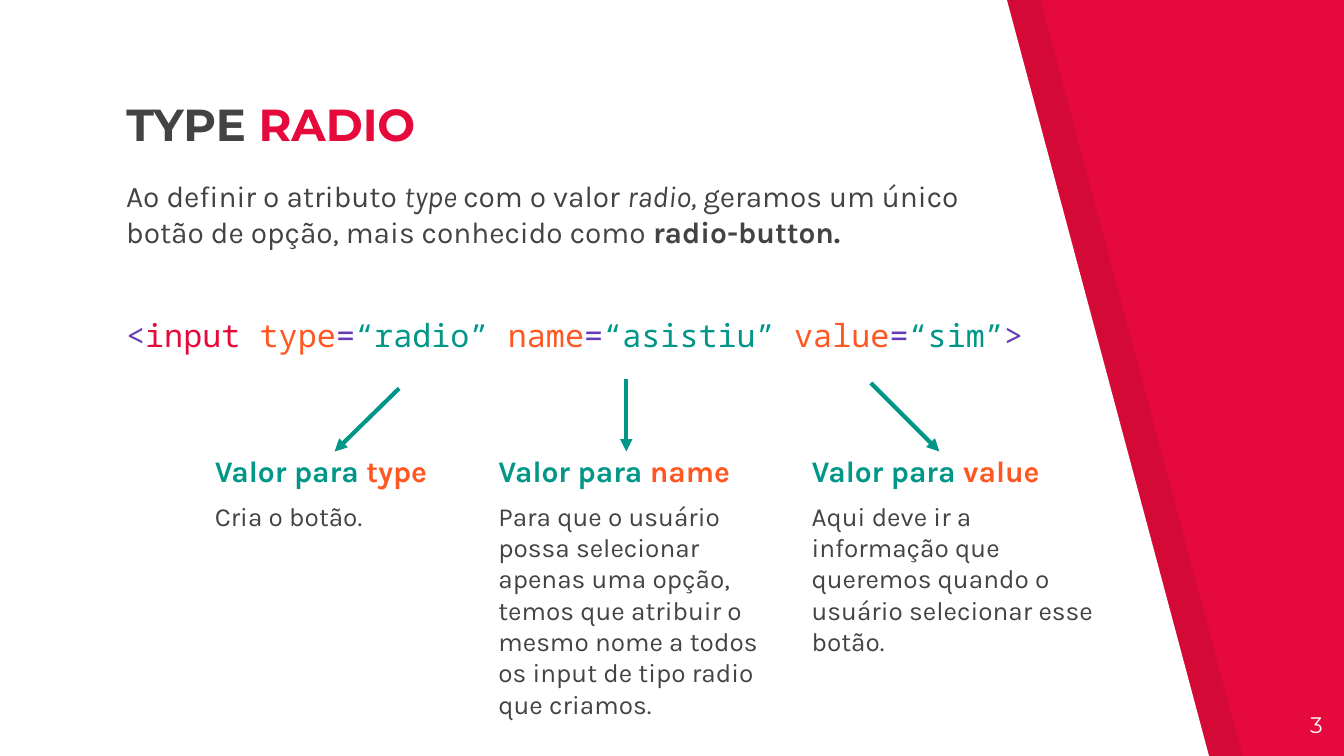
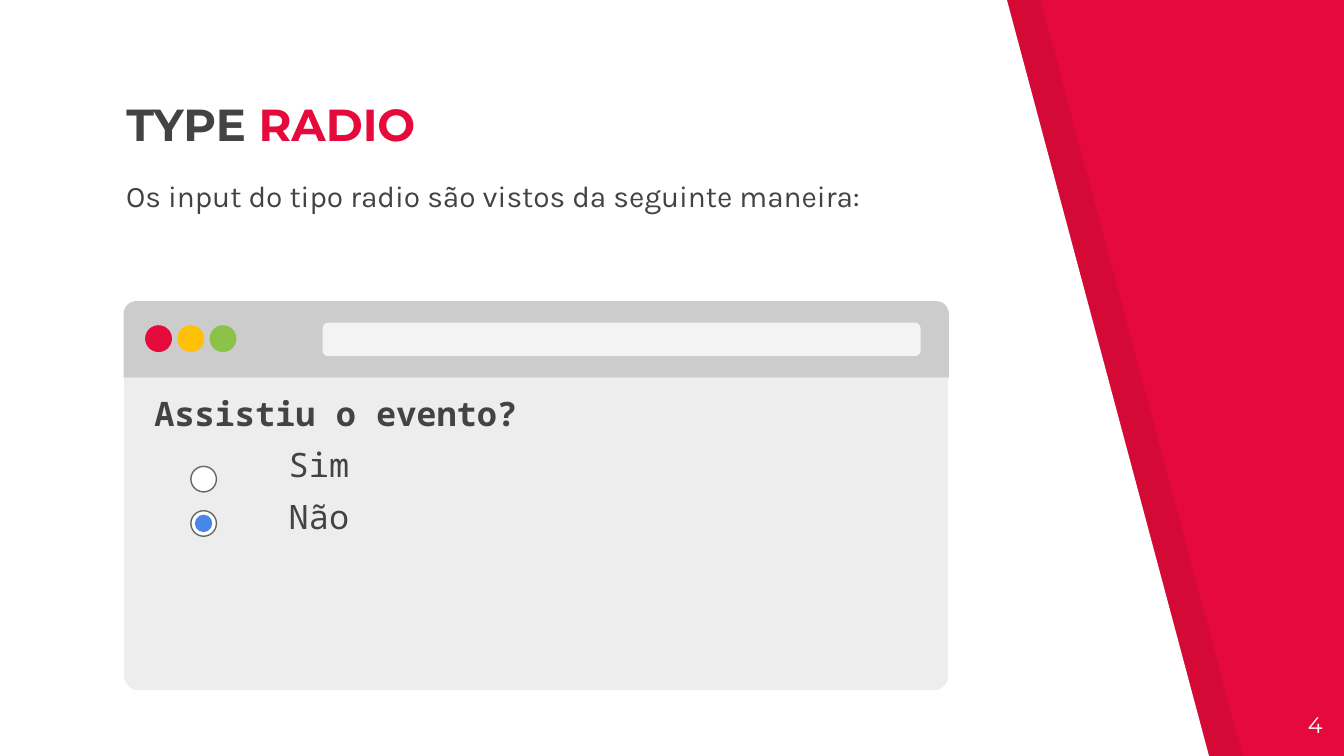
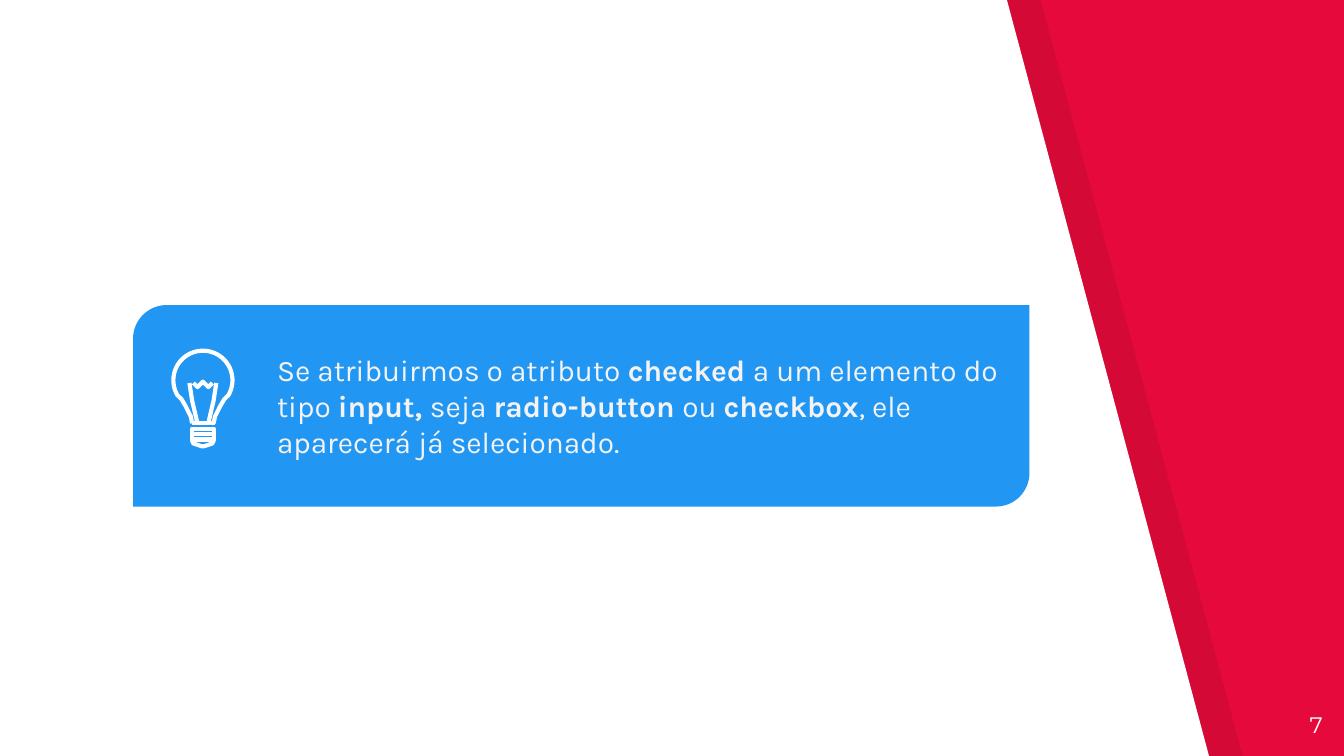
import math
from dataclasses import dataclass

import lxml.etree
import pptx
import pptx.dml.color
import pptx.enum.shapes
import pptx.enum.text
import pptx.oxml.ns
import pptx.util

Inches = pptx.util.Inches
Preset = pptx.enum.shapes.MSO_SHAPE
Anchor = pptx.enum.text.MSO_ANCHOR
Align = pptx.enum.text.PP_ALIGN
qn = pptx.oxml.ns.qn

COLORS = {
    "red": "E50A3B", "white": "FFFFFF", "black": "000000", "text": "434343",
    "teal": "009688", "orange": "FF5722", "purple": "673AB7", "blue": "2196F3",
    "yellow": "FFC107", "green": "8BC34A", "bar": "CCCCCC", "pale": "F3F3F3",
    "outline": "666666", "selected": "4A86E8",
}
BODY_FONT, TITLE_FONT, CODE_FONT = "Karla", "Montserrat", "Noto Sans Mono"
VEIL = 7  # opacity, in percent, of the dark overlays


@dataclass
class Box:
    left: float
    top: float
    width: float
    height: float

    def lengths(self) -> list:
        return [Inches(n) for n in (self.left, self.top, self.width, self.height)]


@dataclass
class Run:
    text: str
    color: str = ""
    bold: bool = False
    italic: bool = False


@dataclass
class Explanation:
    attribute: str
    text: str
    box: Box
    arrow_start: tuple
    arrow_end: tuple


# ---- Formatting helpers ----
def rgb(name: str):
    return pptx.dml.color.RGBColor.from_string(COLORS[name])


def write_paragraph(frame, text, *, first=True, size=16, font=BODY_FONT, color="text",
                    bold=False, before=0, indent=0.0, align=Align.LEFT) -> None:
    """Write a string or a list of runs as one paragraph."""
    paragraph = frame.paragraphs[0] if first else frame.add_paragraph()
    paragraph.alignment = align
    paragraph.space_before = pptx.util.Pt(before)
    if indent:
        properties = paragraph._p.get_or_add_pPr()
        properties.set("marL", str(Inches(indent)))
        properties.set("indent", "0")
    for part in [Run(text)] if isinstance(text, str) else text:
        run = paragraph.add_run()
        run.text = part.text
        run.font.name = font
        run.font.size = pptx.util.Pt(size)
        run.font.bold = bold or part.bold
        run.font.italic = part.italic
        run.font.color.rgb = rgb(part.color or color)


def prepare_frame(shape, anchor=Anchor.TOP):
    frame = shape.text_frame
    frame.word_wrap = True
    frame.auto_size = pptx.enum.text.MSO_AUTO_SIZE.NONE
    frame.vertical_anchor = anchor
    frame.margin_left = frame.margin_right = Inches(0.1)
    frame.margin_top = frame.margin_bottom = Inches(0.1)
    return frame


def add_text_box(shapes, box: Box):
    return prepare_frame(shapes.add_textbox(*box.lengths()))


def paint(shape, fill="", line="", width=0.75, opacity=100) -> None:
    shape.shadow.inherit = False
    if fill:
        shape.fill.solid()
        shape.fill.fore_color.rgb = rgb(fill)
    else:
        shape.fill.background()
    if line:
        shape.line.color.rgb = rgb(line)
        shape.line.width = pptx.util.Pt(width)
    else:
        shape.line.fill.background()
    if opacity < 100:
        color = next(shape.element.spPr.iter(qn("a:srgbClr")))
        lxml.etree.SubElement(color, qn("a:alpha")).set("val", str(opacity * 1000))


def add_preset(shapes, preset, box: Box, adjustments=(), **style):
    shape = shapes.add_shape(preset, *box.lengths())
    for index, value in enumerate(adjustments):
        shape.adjustments[index] = value
    paint(shape, **style)
    return shape


def add_outline(shapes, points: list, closed=False, **style):
    corners = [(Inches(x), Inches(y)) for x, y in points]
    builder = shapes.build_freeform(*corners[0], scale=1.0)
    builder.add_line_segments(corners[1:], close=closed)
    shape = builder.convert_to_shape()
    paint(shape, **style)
    return shape


def add_line(shapes, start: tuple, end: tuple, color: str, arrow=False) -> None:
    connector = shapes.add_connector(
        pptx.enum.shapes.MSO_CONNECTOR.STRAIGHT, *(Inches(n) for n in start + end))
    connector.line.color.rgb = rgb(color)
    connector.line.width = pptx.util.Pt(2.25)
    properties = connector.element.spPr
    if arrow:
        line = properties.find(qn("a:ln"))
        lxml.etree.SubElement(line, qn("a:tailEnd")).set("type", "triangle")
    lxml.etree.SubElement(properties, qn("a:effectLst"))


# ---- Shared parts ----
def add_master_bands(presentation, slide) -> None:
    """Draw the slanted bands once and keep them on the master."""
    master = presentation.slide_master
    master.background.fill.solid()
    master.background.fill.fore_color.rgb = rgb("red")
    for index, (offset, fill, opacity) in enumerate([(0.25, "black", VEIL), (0, "white", 100)]):
        points = [(offset, -0.01), (offset, 5.64), (offset + 9, 5.64), (offset + 7.49, -0.01)]
        band = add_outline(slide.shapes, points, closed=True, fill=fill, opacity=opacity)
        band.element.nvSpPr.cNvPr.id = 20 + index
        master.shapes.element.append(band.element)


def add_slide(presentation, number: int, title=None):
    slide = presentation.slides.add_slide(presentation.slide_layouts[5 if title else 6])
    if number == 3:
        add_master_bands(presentation, slide)
    frame = add_text_box(slide.shapes, Box(9.34, 5.19, 0.6, 0.43))
    write_paragraph(frame, str(number), size=12, font=TITLE_FONT, color="white",
                    align=Align.RIGHT)
    if title:
        shape = slide.shapes.title
        shape.left, shape.top, shape.width, shape.height = Box(0.84, 0.77, 5.25, 0.45).lengths()
        write_paragraph(prepare_frame(shape, Anchor.BOTTOM), title, size=24,
                        font=TITLE_FONT, bold=True)
    return slide


TITLE = [Run("TYPE "), Run("RADIO", "red")]


# ---- Slide: the attributes of a radio input ----
EXPLANATIONS = [
    Explanation("type", "Cria o botão.", Box(1.5, 3.27, 1.96, 1.08), (2.97, 2.89), (2.49, 3.36)),
    Explanation("name", "Para que o usuário possa selecionar apenas uma opção, temos que "
                "atribuir o mesmo nome a todos os input de tipo radio que criamos.",
                Box(3.61, 3.27, 2.31, 1.08), (4.66, 2.82), (4.66, 3.36)),
    Explanation("value", "Aqui deve ir a informação que queremos quando o usuário "
                "selecionar esse botão.",
                Box(5.94, 3.27, 2.31, 1.08), (6.48, 2.85), (6.99, 3.36)),
]


def build_attributes(presentation) -> None:
    shapes = add_slide(presentation, 3, TITLE).shapes
    write_paragraph(add_text_box(shapes, Box(0.84, 1.22, 6.41, 1)), [
        Run("Ao definir o atributo "), Run("type ", italic=True), Run("com o valor "),
        Run("radio, ", italic=True),
        Run("geramos um único botão de opção, mais conhecido como "),
        Run("radio-button.", bold=True)], before=6)

    code = [Run("<", "purple"), Run("input ", "red")]
    for attribute, value in [("type", "“radio” "), ("name", "“asistiu” "), ("value", "“sim”")]:
        code += [Run(attribute, "orange"), Run("=", "purple"), Run(value, "teal")]
    code.append(Run(">", "purple"))
    write_paragraph(add_text_box(shapes, Box(0.84, 2.25, 7.5, 0.91)), code,
                    size=17, font=CODE_FONT, before=6)

    for item in EXPLANATIONS:
        frame = add_text_box(shapes, item.box)
        write_paragraph(frame, [Run("Valor para "), Run(item.attribute, "orange")],
                        color="teal", bold=True, before=6)
        write_paragraph(frame, item.text, first=False, size=14, before=6)
        add_line(shapes, item.arrow_start, item.arrow_end, "teal", arrow=True)


# ---- Slide: radio buttons in a browser window ----
def build_browser(presentation) -> None:
    shapes = add_slide(presentation, 4, TITLE).shapes
    write_paragraph(add_text_box(shapes, Box(0.84, 1.22, 6.41, 1.12)),
                    "Os input do tipo radio são vistos da seguinte maneira:", before=6)

    page_box = Box(0.92, 2.81, 6.14, 2.33)
    page = add_preset(shapes, Preset.ROUND_2_SAME_RECTANGLE, page_box,
                      (0.053, 0), fill="black", opacity=VEIL)
    page.rotation = 180
    window = shapes.add_group_shape().shapes
    add_preset(window, Preset.RECTANGLE, page_box, line="white")
    add_preset(window, Preset.ROUND_2_SAME_RECTANGLE, Box(0.92, 2.24, 6.14, 0.57),
               (0.167, 0), fill="bar")
    for index, color in enumerate(["red", "yellow", "green"]):
        add_preset(window, Preset.OVAL, Box(1.08 + 0.24 * index, 2.42, 0.2, 0.2), fill=color)
    add_preset(window, Preset.ROUNDED_RECTANGLE, Box(2.4, 2.4, 4.45, 0.25), (0.167,), fill="pale")

    form = shapes.add_group_shape().shapes
    frame = add_text_box(form, Box(1.05, 2.82, 3.32, 1.12))
    style = dict(size=18, font=CODE_FONT, before=6)
    write_paragraph(frame, "Assistiu o evento?", bold=True, **style)
    for option, top in [("Sim", 3.47), ("Não", 3.8)]:
        write_paragraph(frame, option, first=False, indent=1.0, **style)
        add_preset(form, Preset.OVAL, Box(1.42, top, 0.19, 0.19), fill="white", line="outline")
    add_preset(form, Preset.OVAL, Box(1.45, 3.83, 0.13, 0.13), fill="selected")


# ---- Slide: tip with a light bulb ----
def add_bulb(shapes) -> None:
    center, middle, radius = 1.51, 2.83, 0.22
    stroke = dict(line="white", width=2.25)

    def mirrored(half: list) -> list:
        """Join offsets from the axis with their reflection."""
        right = [(center + x, y) for x, y in half]
        return right + [(center - x, y) for x, y in reversed(half)]

    for top in (3.23, 3.19):
        add_outline(shapes, mirrored([(0.08, top), (0.08, top + 0.04)]), closed=True, **stroke)
    add_outline(shapes, mirrored([(0.08, 3.27), (0.08, 3.28), (0.07, 3.3), (0.01, 3.32)]),
                closed=True, **stroke)
    neck = [(0.08, 3.15), (0.09, 3.1), (0.11, 3.06), (0.13, 3.02), (0.16, 2.97)]
    arc = [(radius * math.cos(math.radians(angle)), middle + radius * math.sin(math.radians(angle)))
           for angle in range(30, -91, -6)]
    add_outline(shapes, mirrored(neck + arc), **stroke)
    for side in (-1, 1):
        add_outline(shapes, [(center + side * x, y) for x, y in
                             [(0.1, 2.85), (0.08, 2.98), (0.04, 3.15)]], **stroke)
    add_outline(shapes, mirrored([(0.07, 2.85), (0.04, 2.88), (0, 2.84)]), **stroke)
    add_line(shapes, (1.43, 3.15), (1.6, 3.15), "white")


def build_tip(presentation) -> None:
    shapes = add_slide(presentation, 7).shapes.add_group_shape().shapes
    card = add_preset(shapes, Preset.ROUND_2_DIAG_RECTANGLE, Box(0.99, 2.27, 6.67, 1.5),
                      (0.167, 0), fill="blue")
    write_paragraph(prepare_frame(card, Anchor.MIDDLE), [
        Run("Se atribuirmos o atributo "), Run("checked ", bold=True),
        Run("a um elemento do tipo "), Run("input, ", bold=True), Run("seja "),
        Run("radio-button ", bold=True), Run("ou "), Run("checkbox", bold=True),
        Run(", ele aparecerá já selecionado. ")], color="pale", indent=0.9)
    add_bulb(shapes)


def main() -> None:
    presentation = pptx.Presentation()
    presentation.slide_width = Inches(10)
    presentation.slide_height = Inches(10) * 9 // 16
    build_attributes(presentation)
    build_browser(presentation)
    build_tip(presentation)
    presentation.save("out.pptx")


main()
